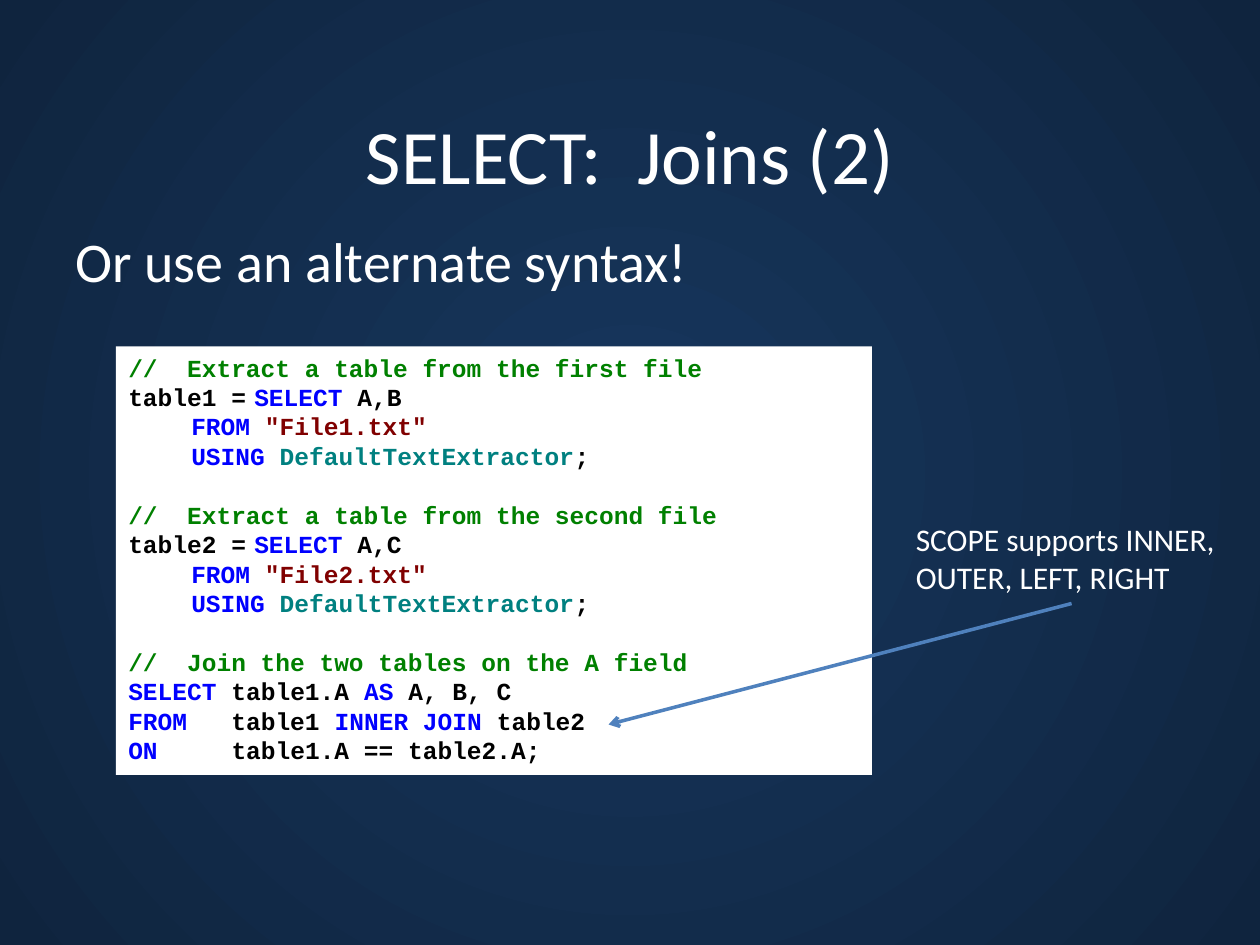
from lxml import etree
from pptx import Presentation
from pptx.dml.color import RGBColor
from pptx.enum.dml import MSO_THEME_COLOR
from pptx.enum.shapes import MSO_CONNECTOR, MSO_SHAPE
from pptx.enum.text import MSO_ANCHOR, PP_ALIGN
from pptx.oxml.ns import qn
from pptx.util import Inches, Pt

STRAIGHT = MSO_CONNECTOR.STRAIGHT
RECTANGLE = MSO_SHAPE.RECTANGLE
TOP, MIDDLE = MSO_ANCHOR.TOP, MSO_ANCHOR.MIDDLE
LEFT, CENTER = PP_ALIGN.LEFT, PP_ALIGN.CENTER
BOTTOM_SITE = 2

WHITE = RGBColor(0xFF, 0xFF, 0xFF)
BLACK = RGBColor(0x00, 0x00, 0x00)
NAVY = RGBColor(0x17, 0x37, 0x5E)
DARK_NAVY = RGBColor(0x0F, 0x24, 0x3E)
ARROW_BLUE = RGBColor(0x4F, 0x81, 0xBD)
COMMENT = RGBColor(0x00, 0x80, 0x00)
KEYWORD = RGBColor(0x00, 0x00, 0xFF)
STRING = RGBColor(0x80, 0x00, 0x00)
TYPE = RGBColor(0x00, 0x80, 0x80)

CODE_LINE = Pt(16.8)

prs = Presentation()
prs.slide_width, prs.slide_height = Inches(10), Inches(7.5)
slide = prs.slides.add_slide(prs.slide_layouts[5])


def area(left, top, width, height):
    """Turn inches into a box of slide lengths."""
    return [Inches(v) for v in (left, top, width, height)]


def write(paragraph, text, color, size, font="Calibri", bold=False):
    run = paragraph.add_run()
    run.text = text
    run.font.color.rgb = color
    for name, value in {"size": Pt(size), "name": font, "bold": bold}.items():
        setattr(run.font, name, value)


# Background: circular gradient, lighter in the centre
backdrop = slide.background.fill
backdrop.gradient()
for stop, color, position in zip(backdrop.gradient_stops, (NAVY, DARK_NAVY), (0, 1)):
    stop.color.rgb = color
    stop.position = position
gradient = slide.background._cSld.find(".//" + qn("a:gradFill"))
gradient.remove(gradient.find(qn("a:lin")))
circle = etree.SubElement(gradient, qn("a:path"), path="circle")
etree.SubElement(circle, qn("a:fillToRect"), l="50000", t="50000", r="50000", b="50000")

# Title
title = slide.shapes.title
title.left, title.top, title.width, title.height = area(0.5, 0.77, 9, 0.9)
title.text_frame.vertical_anchor = MIDDLE
heading = title.text_frame.paragraphs[0]
heading.alignment = CENTER
write(heading, "SELECT:  Joins (2)", WHITE, 44)

# Lead sentence and side note
lead = slide.shapes.add_textbox(*area(0.5, 1.75, 9, 0.75))
note = slide.shapes.add_textbox(*area(7.17, 4.08, 2.67, 0.71))
for box, text, size in (
    (lead, "Or use an alternate syntax!", 32),
    (note, "SCOPE supports INNER, OUTER, LEFT, RIGHT", 18),
):
    box.text_frame.word_wrap = True
    write(box.text_frame.paragraphs[0], text, WHITE, size)

# Code: one list of lines per block, each line a list of coloured pieces
blocks = []
for ordinal, number, column in (("first", 1, "B"), ("second", 2, "C")):
    blocks.append([
        [(f"//  Extract a table from the {ordinal} file", COMMENT)],
        [(f"table{number} =\t", BLACK), ("SELECT", KEYWORD), (f" A,{column}", BLACK)],
        [("\tFROM ", KEYWORD), (f'"File{number}.txt"', STRING)],
        [("\tUSING ", KEYWORD), ("DefaultTextExtractor", TYPE), (";", BLACK)],
    ])
blocks.append([
    [("//  Join the two tables on the A field", COMMENT)],
    [("SELECT", KEYWORD), (" table1.A ", BLACK), ("AS", KEYWORD), (" A, B, C", BLACK)],
    [("FROM", KEYWORD), ("   table1", BLACK), (" INNER JOIN ", KEYWORD), ("table2", BLACK)],
    [("ON     ", KEYWORD), ("table1.A == table2.A;", BLACK)],
])

code = slide.shapes.add_shape(RECTANGLE, *area(0.92, 2.75, 6, 3.4))
code.shadow.inherit = False
code.fill.solid()
code.fill.fore_color.rgb = WHITE
code.line.fill.background()
code.text_frame.word_wrap = True
code.text_frame.vertical_anchor = TOP
paragraph = code.text_frame.paragraphs[0]
for block_index, block in enumerate(blocks):
    for line_index, pieces in enumerate(block):
        if block_index or line_index:
            paragraph = code.text_frame.add_paragraph()
        paragraph.alignment = LEFT
        paragraph.line_spacing = CODE_LINE
        if block_index and not line_index:
            paragraph.space_before = CODE_LINE
        for text, color in pieces:
            write(paragraph, text, color, 14, "Courier New", True)

# Arrow from the note to the join
arrow = slide.shapes.add_connector(STRAIGHT, *area(8.5, 4.79, 4.83, 5.75))
arrow.begin_connect(note, BOTTOM_SITE)
arrow.line.color.rgb = ARROW_BLUE
arrow.line.width = Pt(2)
etree.SubElement(arrow.line._get_or_add_ln(), qn("a:tailEnd"), type="arrow")
etree.SubElement(arrow._element.spPr, qn("a:effectLst"))

prs.save("out.pptx")
